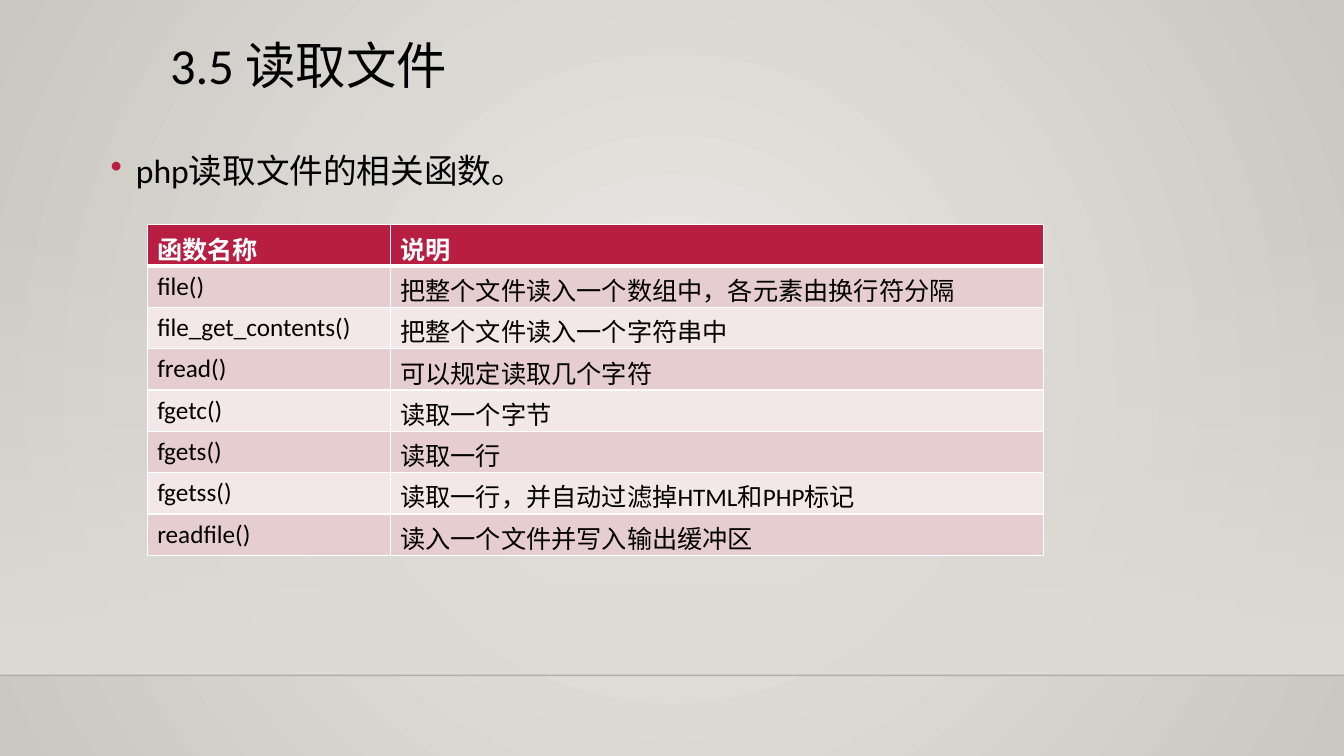
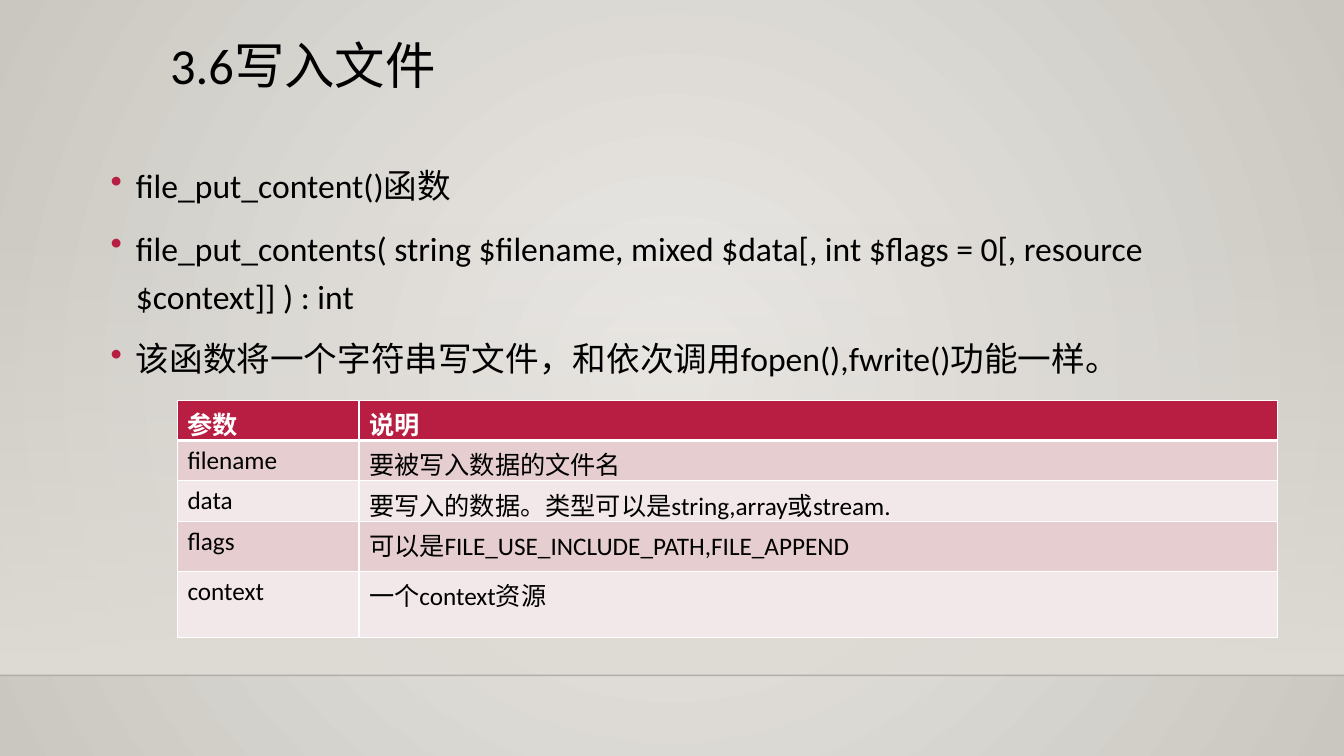
from dataclasses import dataclass

from lxml import etree
from pptx import Presentation
from pptx.dml.color import RGBColor
from pptx.enum.shapes import MSO_CONNECTOR, MSO_SHAPE
from pptx.oxml.ns import qn
from pptx.util import Inches, Pt

RECTANGLE = MSO_SHAPE.RECTANGLE
STRAIGHT = MSO_CONNECTOR.STRAIGHT

SLIDE_WIDTH, SLIDE_HEIGHT = 13.33, 7.5
BAND_TOP, FLOOR_TOP = 2.21, 6.7
BLANK_LAYOUT = 6
FONT = "Calibri"
BLACK, WHITE, ACCENT = "000000", "FFFFFF", "B71E42"
BACKGROUND_CENTER, BACKGROUND_EDGE, BAND = "ECEAE7", "CAC7C1", "DFDBD5"
FLOOR_LINE = "000001"
ROW_FILLS = ("E6CDCF", "F3E8E9")
BORDER_WIDTH, HEADER_RULE_WIDTH = 1, 3


@dataclass
class TableContent:
    left: float
    top: float
    column_widths: list[float]
    row_heights: list[float]
    rows: list[tuple[str, str]]


@dataclass
class SlideContent:
    title: str
    body_top: float
    bullets: list[str]
    table: TableContent


SLIDES = [
    SlideContent(
        "3.5 读取文件",
        1.36,
        ["php读取文件的相关函数。"],
        TableContent(1.46, 2.23, [2.41, 6.48], [0.41] * 8, [
            ("函数名称", "说明"),
            ("file()", "把整个文件读入一个数组中，各元素由换行符分隔"),
            ("file_get_contents()", "把整个文件读入一个字符串中"),
            ("fread()", "可以规定读取几个字符"),
            ("fgetc()", "读取一个字节"),
            ("fgets()", "读取一行"),
            ("fgetss()", "读取一行，并自动过滤掉HTML和PHP标记"),
            ("readfile()", "读入一个文件并写入输出缓冲区"),
        ]),
    ),
    SlideContent(
        "3.6写入文件",
        1.51,
        [
            "file_put_content()函数",
            "file_put_contents( string $filename, mixed $data[, int $flags = 0[, resource $context]] ) : int",
            "该函数将一个字符串写文件，和依次调用fopen(),fwrite()功能一样。",
        ],
        TableContent(1.76, 3.97, [1.8, 9.11], [0.32, 0.32, 0.32, 0.5, 0.65], [
            ("参数", "说明"),
            ("filename", "要被写入数据的文件名"),
            ("data", "要写入的数据。类型可以是string,array或stream."),
            ("flags", "可以是FILE_USE_INCLUDE_PATH,FILE_APPEND"),
            ("context", "一个context资源"),
        ]),
    ),
]


def rgb(color: str) -> RGBColor:
    return RGBColor.from_string(color)


def add_element(parent, tag: str, **attributes: str):
    return etree.SubElement(parent, qn(tag), attributes)


def set_opacity(parent, percent: int) -> None:
    """Set the opacity of the first colour found inside an element."""
    color = next(parent.iter(qn("a:srgbClr")))
    add_element(color, "a:alpha", val=str(percent * 1000))


def set_gradient(fill, first: str, last: str) -> None:
    fill.gradient()
    for stop, color in zip(fill.gradient_stops, (first, last)):
        stop.color.rgb = rgb(color)


def style_font(paragraph, size: int, color: str, bold: bool = False) -> None:
    font = paragraph.font
    font.name, font.size, font.bold = FONT, Pt(size), bold
    font.color.rgb = rgb(color)


def set_background(master) -> None:
    """Give all slides a radial gradient that starts at the slide centre."""
    set_gradient(master.background.fill, BACKGROUND_CENTER, BACKGROUND_EDGE)
    gradient = next(master.element.iter(qn("a:gradFill")))
    gradient.remove(gradient.find(qn("a:lin")))
    circle = add_element(gradient, "a:path", path="circle")
    add_element(circle, "a:fillToRect", l="50000", t="50000", r="50000", b="50000")


def add_band(slide) -> None:
    """Draw the fading wall and the line where it meets the floor."""
    wall = slide.shapes.add_shape(
        RECTANGLE, Inches(0), Inches(BAND_TOP), Inches(SLIDE_WIDTH), Inches(FLOOR_TOP - BAND_TOP))
    wall.shadow.inherit = False
    wall.line.fill.background()
    set_gradient(wall.fill, BAND, BAND)
    wall.fill.gradient_angle = 270
    set_opacity(wall.element.spPr, 0)

    edge = slide.shapes.add_connector(
        STRAIGHT, Inches(0), Inches(FLOOR_TOP), Inches(SLIDE_WIDTH), Inches(FLOOR_TOP))
    edge.line.width = Pt(1)
    edge.line.color.rgb = rgb(FLOOR_LINE)
    properties = edge.element.spPr
    set_opacity(properties, 20)
    add_element(properties, "a:effectLst")


def add_text_frame(slide, left: float, top: float, width: float, height: float):
    box = slide.shapes.add_textbox(Inches(left), Inches(top), Inches(width), Inches(height))
    box.text_frame.word_wrap = True
    return box.text_frame


def add_title(slide, text: str) -> None:
    paragraph = add_text_frame(slide, 1.59, 0.36, 10.5, 1.15).paragraphs[0]
    paragraph.text = text
    paragraph.line_spacing = 0.9
    style_font(paragraph, 36, BLACK)


def add_bullets(slide, top: float, bullets: list[str]) -> None:
    frame = add_text_frame(slide, 1, top, 11.33, 3.74)
    frame.text = "\n".join(bullets)
    for paragraph in frame.paragraphs:
        paragraph.line_spacing = 1.2
        paragraph.space_before = Pt(10)
        properties = paragraph._p.get_or_add_pPr()
        properties.set("marL", str(Inches(0.25)))
        properties.set("indent", str(Inches(-0.25)))
        bullet_color = add_element(properties, "a:buClr")
        add_element(bullet_color, "a:srgbClr", val=ACCENT)
        add_element(properties, "a:buChar", char="•")
        style_font(paragraph, 24, BLACK)


def set_borders(cell, top: int, bottom: int) -> None:
    """Draw white borders; call it before the cell is filled."""
    properties = cell._tc.get_or_add_tcPr()
    widths = {"L": BORDER_WIDTH, "R": BORDER_WIDTH, "T": top, "B": bottom}
    for side, width in widths.items():
        line = add_element(properties, f"a:ln{side}", w=str(Pt(width)))
        add_element(add_element(line, "a:solidFill"), "a:srgbClr", val=WHITE)


def add_table(slide, content: TableContent) -> None:
    table = slide.shapes.add_table(
        len(content.rows), len(content.column_widths),
        Inches(content.left), Inches(content.top),
        Inches(sum(content.column_widths)), Inches(sum(content.row_heights))).table
    for column, width in zip(table.columns, content.column_widths):
        column.width = Inches(width)
    for index, (texts, height) in enumerate(zip(content.rows, content.row_heights)):
        row = table.rows[index]
        row.height = Inches(height)
        is_header = index == 0
        top = HEADER_RULE_WIDTH if index == 1 else BORDER_WIDTH
        bottom = HEADER_RULE_WIDTH if is_header else BORDER_WIDTH
        fill = ACCENT if is_header else ROW_FILLS[(index - 1) % 2]
        for cell, text in zip(row.cells, texts):
            cell.text = text
            set_borders(cell, top, bottom)
            cell.fill.solid()
            cell.fill.fore_color.rgb = rgb(fill)
            style_font(cell.text_frame.paragraphs[0], 18, WHITE if is_header else BLACK, is_header)


def main() -> None:
    presentation = Presentation()
    presentation.slide_width = Inches(SLIDE_WIDTH)
    presentation.slide_height = Inches(SLIDE_HEIGHT)
    set_background(presentation.slide_master)
    for content in SLIDES:
        slide = presentation.slides.add_slide(presentation.slide_layouts[BLANK_LAYOUT])
        add_band(slide)
        add_title(slide, content.title)
        add_bullets(slide, content.body_top, content.bullets)
        add_table(slide, content.table)
    presentation.save("out.pptx")


if __name__ == "__main__":
    main()
